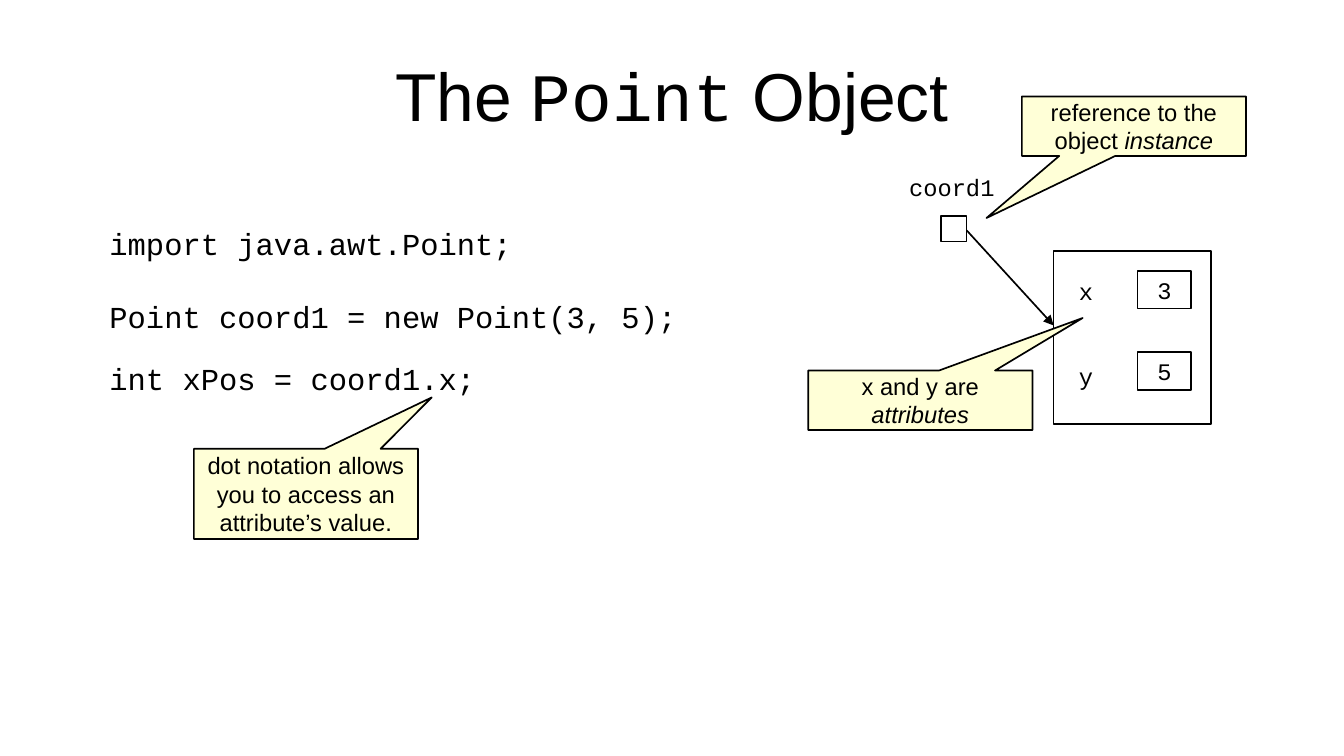
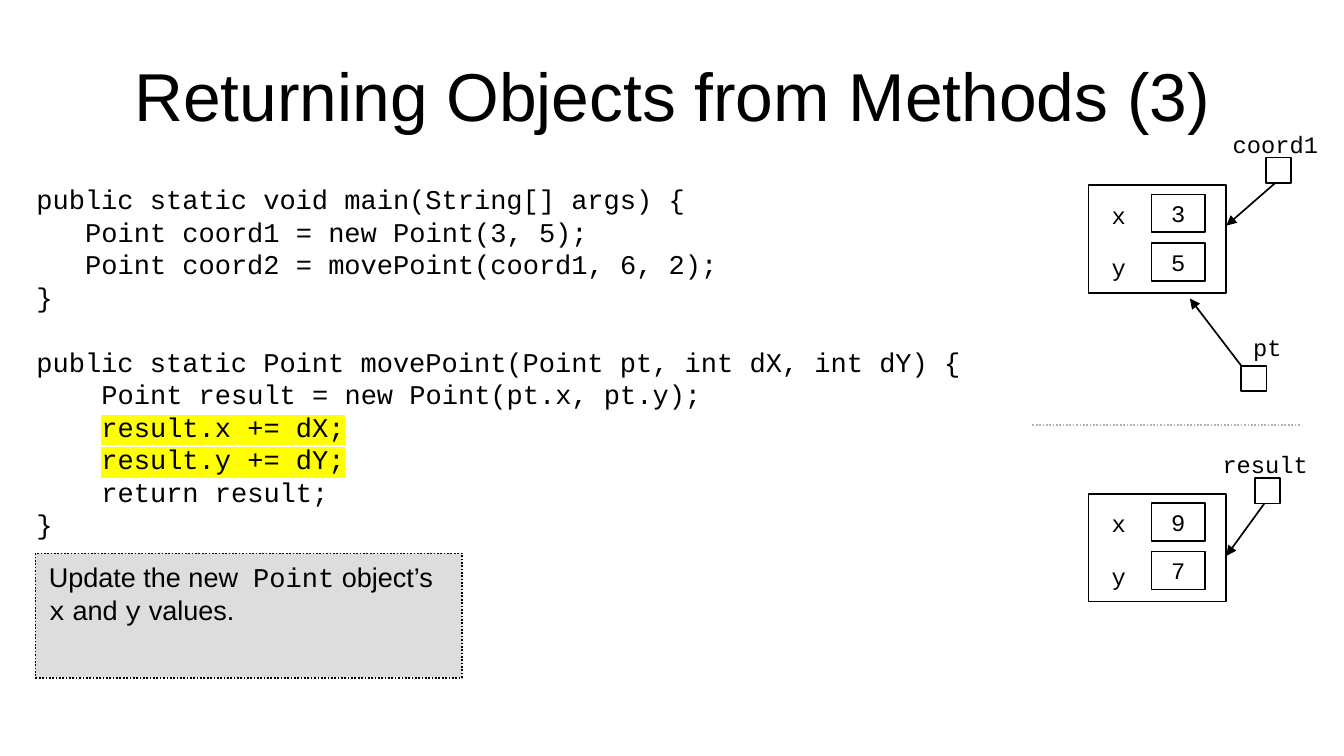
from dataclasses import dataclass
from typing import Optional

from lxml.etree import SubElement
from pptx import Presentation
from pptx.dml.color import RGBColor
from pptx.enum.dml import MSO_LINE
from pptx.enum.shapes import MSO_CONNECTOR, MSO_SHAPE
from pptx.enum.text import MSO_ANCHOR, PP_ALIGN
from pptx.oxml.ns import qn
from pptx.util import Cm, Pt


@dataclass(frozen=True)
class Theme:
    sans: str = "Arial"
    mono: str = "Courier New"
    ink: str = "000000"
    paper: str = "FFFFFF"
    callout: str = "FFFFD7"
    note: str = "DDDDDD"
    divider: str = "B2B2B2"
    marker: str = "FFFF00"
    title_size: int = 40
    large_code_size: int = 18
    body_size: int = 16
    label_size: int = 14
    leading: float = 1.2
    mono_advance: float = 0.6  # character width as a share of the type size


THEME = Theme()


@dataclass(frozen=True)
class Span:
    text: str
    font: Optional[str] = None
    italic: Optional[bool] = None
    highlight: Optional[str] = None


@dataclass(frozen=True)
class CodeLine:
    text: str
    indent: int = 0
    gap: bool = False
    highlight: Optional[str] = None


@dataclass(frozen=True)
class InstanceLayout:
    """Measures in centimetres inside the box of an object."""
    width: float
    height: float
    label_left: float
    value_left: float
    top: float
    label_pitch: float
    value_pitch: float


ROOMY = InstanceLayout(3.28, 3.61, 0.28, 1.75, 0.41, 1.78, 1.7)
COMPACT = InstanceLayout(2.87, 2.24, 0.23, 1.31, 0.19, 1.1, 1.01)


# Text
def write(frame, lines, size, font=THEME.sans, align=PP_ALIGN.LEFT, leading=THEME.leading):
    """Fill a frame; each line is a string or a list of strings and spans."""
    for index, line in enumerate(lines):
        paragraph = frame.paragraphs[0] if index == 0 else frame.add_paragraph()
        paragraph.alignment = align
        if leading:
            paragraph.line_spacing = Pt(size * leading)
        paragraph.font.name = font
        paragraph.font.size = Pt(size)
        paragraph.font.color.rgb = RGBColor.from_string(THEME.ink)
        for piece in [line] if isinstance(line, str) else line:
            span = Span(piece) if isinstance(piece, str) else piece
            run = paragraph.add_run()
            run.text = span.text
            if span.font:
                run.font.name = span.font
            if span.italic:
                run.font.italic = True
            if span.highlight:
                mark = SubElement(run._r.get_or_add_rPr(), qn("a:highlight"))
                SubElement(mark, qn("a:srgbClr"), val=span.highlight)


def set_insets(frame, horizontal, vertical):
    frame.margin_left = frame.margin_right = Cm(horizontal)
    frame.margin_top = frame.margin_bottom = Cm(vertical)


def add_text(slide, left, top, width, height, lines, size):
    frame = slide.shapes.add_textbox(Cm(left), Cm(top), Cm(width), Cm(height)).text_frame
    frame.word_wrap = True
    write(frame, lines, size, THEME.mono)
    return frame


def add_code(slide, left, top, width, height, code, size):
    lines = [[Span(line.text, highlight=line.highlight)] for line in code]
    frame = add_text(slide, left, top, width, height, lines, size)
    for paragraph, line in zip(frame.paragraphs, code):
        if line.indent:
            margin = Pt(line.indent * size * THEME.mono_advance)
            paragraph._p.get_or_add_pPr().set("marL", str(margin))
        if line.gap:
            paragraph.space_before = Pt(size * THEME.leading)


def add_titled_slide(deck, title):
    slide = deck.slides.add_slide(deck.slide_layouts[5])
    heading = slide.shapes.title
    heading.left, heading.top = Cm(1.4), Cm(0.64)
    heading.width, heading.height = Cm(25.2), Cm(2.64)
    frame = heading.text_frame
    set_insets(frame, 0, 0)
    frame.vertical_anchor = MSO_ANCHOR.MIDDLE
    write(frame, [title], THEME.title_size, align=PP_ALIGN.CENTER, leading=None)
    return slide


# Shapes and lines
def add_box(slide, left, top, width, height, fill=THEME.paper, kind=MSO_SHAPE.RECTANGLE):
    box = slide.shapes.add_shape(kind, Cm(left), Cm(top), Cm(width), Cm(height))
    box.shadow.inherit = False
    box.fill.solid()
    box.fill.fore_color.rgb = RGBColor.from_string(fill)
    box.line.color.rgb = RGBColor.from_string(THEME.ink)
    box.line.width = Pt(1)
    set_insets(box.text_frame, 0.1, 0.1)
    box.text_frame.vertical_anchor = MSO_ANCHOR.MIDDLE
    return box


def add_callout(slide, left, top, height, pointer, lines):
    callout = add_box(slide, left, top, 4.67, height, THEME.callout,
                      MSO_SHAPE.RECTANGULAR_CALLOUT)
    callout.adjustments[0], callout.adjustments[1] = pointer
    write(callout.text_frame, lines, THEME.label_size, align=PP_ALIGN.CENTER)


def add_line(slide, start, end, color=THEME.ink):
    connector = slide.shapes.add_connector(
        MSO_CONNECTOR.STRAIGHT, *(Cm(value) for value in (*start, *end)))
    connector.line.color.rgb = RGBColor.from_string(color)
    connector.line.width = Pt(1)
    SubElement(connector._element.spPr, qn("a:effectLst"))
    return connector


def add_arrow(slide, start, end):
    arrow = add_line(slide, start, end)
    SubElement(arrow.line._get_or_add_ln(), qn("a:tailEnd"), type="triangle")


# Parts of the memory diagrams
def add_instance(slide, left, top, layout, x, y):
    add_box(slide, left, top, layout.width, layout.height)
    for row, (name, value) in enumerate((("x", x), ("y", y))):
        cell = add_box(slide, left + layout.value_left,
                       top + layout.top + row * layout.value_pitch, 1.12, 0.79)
        write(cell.text_frame, [str(value)], THEME.label_size, THEME.mono, PP_ALIGN.CENTER)
        add_text(slide, left + layout.label_left,
                 top + layout.top + row * layout.label_pitch, 0.9, 0.81,
                 [name], THEME.label_size)


def add_reference(slide, name, label, square, start, end):
    add_box(slide, *square, 0.53, 0.53)
    add_text(slide, *label, 2.5, 0.81, [name], THEME.label_size)
    add_arrow(slide, start, end)


# Slides
def build_point_object(deck):
    slide = add_titled_slide(deck, ["The ", Span("Point", THEME.mono), " Object"])
    add_code(slide, 2.03, 4.57, 13.84, 2.41,
             [CodeLine("import java.awt.Point;"),
              CodeLine("Point coord1 = new Point(3, 5);", gap=True)],
             THEME.large_code_size)
    add_code(slide, 2.03, 7.37, 13.84, 1.3,
             [CodeLine("int xPos = coord1.x;")], THEME.large_code_size)

    add_instance(slide, 21.95, 5.23, ROOMY, 3, 5)
    add_reference(slide, "coord1", (18.69, 3.48), (19.61, 4.5), (20.14, 4.8), (21.95, 6.78))

    add_callout(slide, 16.84, 7.72, 1.24, (0.724, -1.383),
                ["x and y are", [Span("attributes", italic=True)]])
    add_callout(slide, 21.29, 2.01, 1.24, (-0.658, 1.543),
                ["reference to the", ["object ", Span("instance", italic=True)]])
    add_callout(slide, 4.04, 9.35, 1.88, (0.561, -1.069),
                ["dot notation allows", "you to access an", "attribute’s value."])


def build_returning_objects(deck):
    slide = add_titled_slide(deck, "Returning Objects from Methods (3)")
    add_code(slide, 0.51, 3.68, 20.4, 9.19, [
        CodeLine("public static void main(String[] args) {"),
        CodeLine("Point coord1 = new Point(3, 5);", 3),
        CodeLine("Point coord2 = movePoint(coord1, 6, 2);", 3),
        CodeLine("}"),
        CodeLine("public static Point movePoint(Point pt, int dX, int dY) {", gap=True),
        CodeLine("Point result = new Point(pt.x, pt.y);", 4),
        CodeLine("result.x += dX;", 4, highlight=THEME.marker),
        CodeLine("result.y += dY;", 4, highlight=THEME.marker),
        CodeLine("return result;", 4),
        CodeLine("}"),
    ], THEME.body_size)

    # Explanation below the code
    note = add_box(slide, 0.74, 11.53, 8.89, 2.59, THEME.note)
    note.line.dash_style = MSO_LINE.ROUND_DOT
    note.text_frame.vertical_anchor = MSO_ANCHOR.TOP
    set_insets(note.text_frame, 0.28, 0.15)
    write(note.text_frame, [[
        "Update the new  ", Span("Point", THEME.mono), " object’s ",
        Span("x", THEME.mono), " and ", Span("y", THEME.mono), " values.",
    ]], THEME.body_size)

    # Objects of the caller above the divider, of the method below it
    add_instance(slide, 22.68, 3.86, COMPACT, 3, 5)
    add_reference(slide, "coord1", (25.43, 2.57), (26.37, 3.28), (26.57, 3.81), (25.55, 4.7))
    add_reference(slide, "pt", (25.86, 6.81), (25.86, 7.62), (25.86, 7.62), (24.79, 6.22))
    divider = add_line(slide, (21.51, 8.86), (27.1, 8.86), THEME.divider)
    divider.line.dash_style = MSO_LINE.ROUND_DOT
    add_instance(slide, 22.68, 10.29, COMPACT, 9, 7)
    add_reference(slide, "result", (25.22, 9.25), (26.14, 9.96), (26.34, 10.49), (25.55, 11.58))


def main():
    deck = Presentation()
    deck.slide_width, deck.slide_height = Cm(28), Cm(15.75)
    build_point_object(deck)
    build_returning_objects(deck)
    deck.save("out.pptx")


if __name__ == "__main__":
    main()
